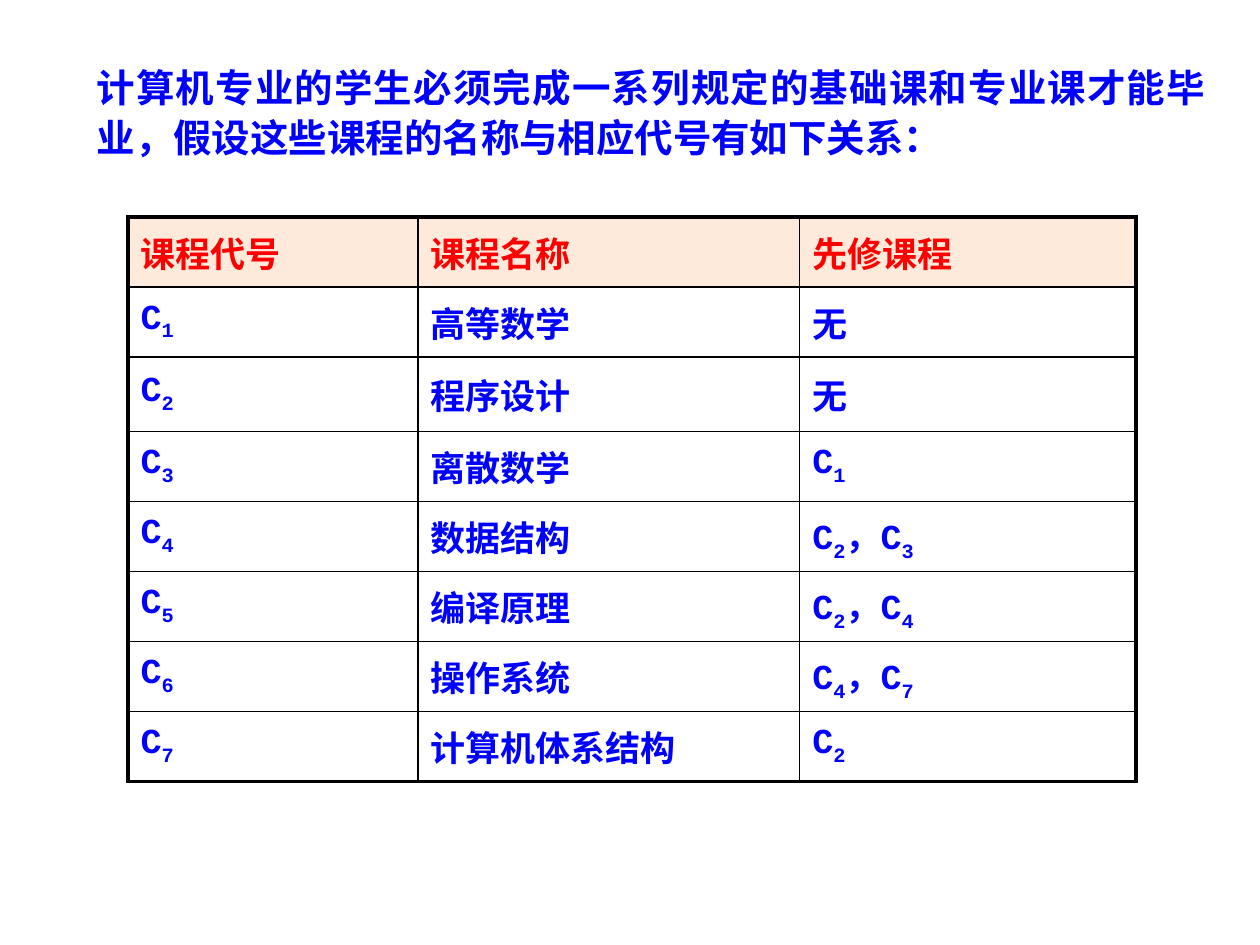
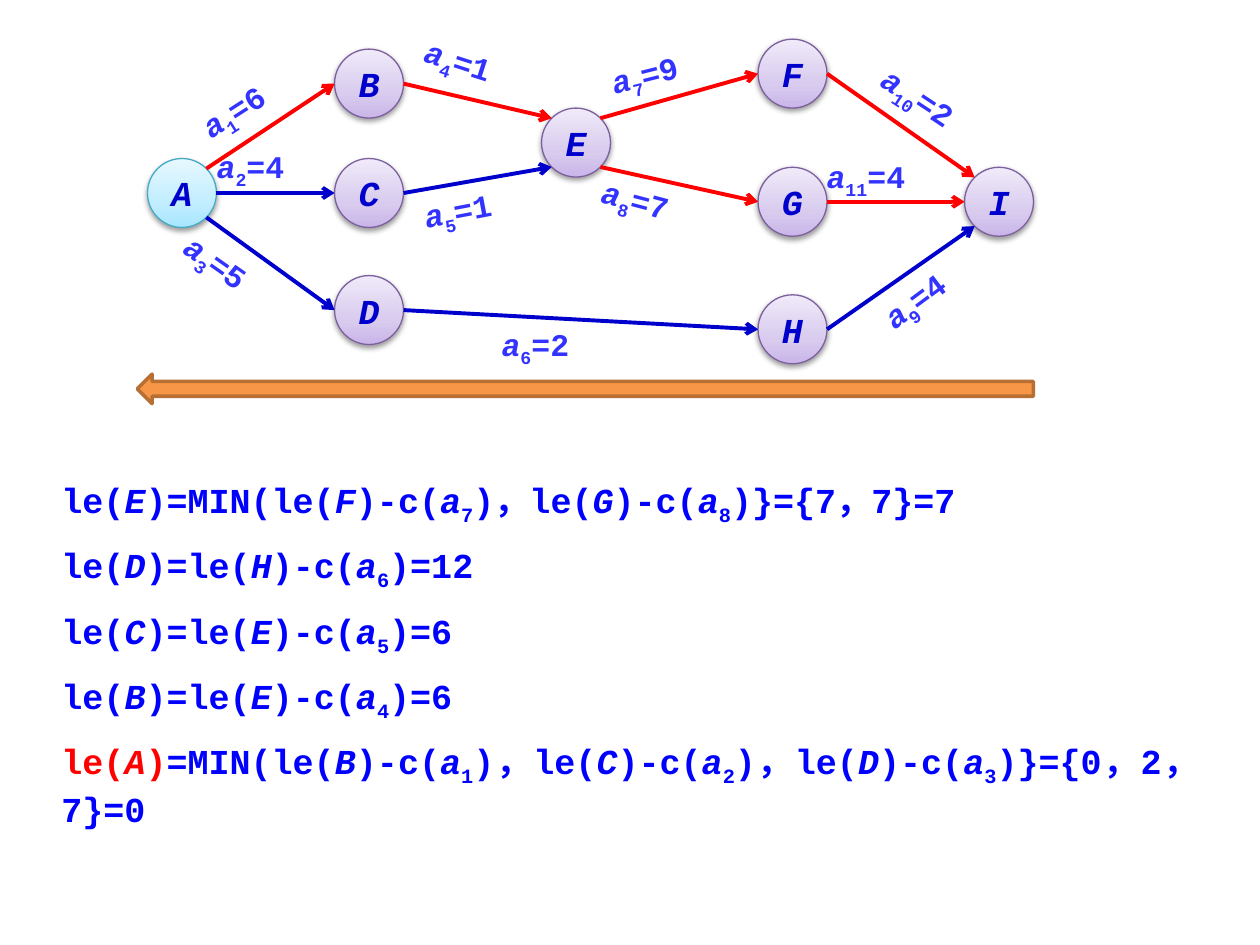
import pptx
import pptx.util
import pptx.dml.color
import pptx.enum.lang
import pptx.enum.shapes
import pptx.enum.text
import pptx.oxml
import pptx.oxml.ns
import copy
import math

Pt = pptx.util.Pt
RGB = pptx.dml.color.RGBColor
SHAPES = pptx.enum.shapes.MSO_SHAPE
ALIGN = pptx.enum.text.PP_ALIGN
MIDDLE = pptx.enum.text.MSO_ANCHOR.MIDDLE
CHINESE = pptx.enum.lang.MSO_LANGUAGE_ID.SIMPLIFIED_CHINESE
qn = pptx.oxml.ns.qn

BLUE = RGB(0x00, 0x00, 0xFF)
DARK_BLUE = RGB(0x00, 0x00, 0xCC)
LABEL_BLUE = RGB(0x33, 0x33, 0xFF)
RED = RGB(0xFF, 0x00, 0x00)
HEADER_FILL = RGB(0xFD, 0xEA, 0xDA)
ORANGE = RGB(0xF7, 0x96, 0x46)
BROWN = RGB(0xB7, 0x6F, 0x34)
CYAN_EDGE = RGB(0x46, 0xAA, 0xC5)
PURPLE_EDGE = RGB(0x7D, 0x60, 0xA0)
CYAN_STOPS = [(0, RGB(0xA7, 0xE6, 0xFF)), (0.35, RGB(0xC1, 0xED, 0xFF)), (1, RGB(0xE7, 0xF8, 0xFF))]
PURPLE_STOPS = [(0, RGB(0xC9, 0xB5, 0xE8)), (0.35, RGB(0xD8, 0xCB, 0xEE)), (1, RGB(0xF0, 0xEA, 0xF9))]
MONO, SERIF = "Courier New", "Times New Roman"

# "|" separates runs, "~" starts an italic run, "_" starts a subscript run.
INTRO = "计算机专业的学生必须完成一系列规定的基础课和专业课才能毕业，假设这些课程的名称与相应代号有如下关系："
COURSES = [
    ("课程代号", "课程名称", "先修课程"),
    ("C|_1", "高等数学", "无"),
    ("C|_2", "程序设计", "无"),
    ("C|_3", "离散数学", "C|_1"),
    ("C|_4", "数据结构", "C|_2|，C|_3"),
    ("C|_5", "编译原理", "C|_2|，C|_4"),
    ("C|_6", "操作系统", "C|_4|，C|_7"),
    ("C|_7", "计算机体系结构", "C|_2"),
]
COLUMN_WIDTHS = [165.6, 218.2, 192.2]
ROW_HEIGHTS = [40, 40, 42.5, 40, 40, 40, 40, 40]

NODE_SIZE = 39.4
NODES = {
    "A": (84.3, 90.6), "B": (191.2, 28.1), "C": (191.2, 90.6),
    "D": (191.2, 157.5), "E": (309.5, 61.8), "F": (433.2, 22.4),
    "G": (433.2, 95.6), "H": (433.2, 168.5), "I": (551.2, 95.6),
}
HUBS = "AEI"
EDGES = [
    ("A", "B", RED, 1, 6, (111.6, 44.6), 327.3),
    ("A", "C", DARK_BLUE, 2, 4, (123.8, 84.2), 0),
    ("A", "D", DARK_BLUE, 3, 5, (101.5, 146.9), 35.2),
    ("B", "E", RED, 4, 1, (241.9, 28.1), 17.8),
    ("C", "E", DARK_BLUE, 5, 1, (241.9, 106.6), 349.2),
    ("D", "H", DARK_BLUE, 6, 2, (286.6, 185.8), 0),
    ("E", "F", RED, 7, 9, (348.5, 28.1), 346),
    ("E", "G", RED, 8, 7, (343.4, 106.6), 14.7),
    ("H", "I", DARK_BLUE, 9, 4, (500.4, 151.9), 323.4),
    ("F", "I", RED, 10, 2, (500.4, 50.4), 33.4),
    ("G", "I", RED, 11, 4, (472.3, 90), 0),
]
LATEST_TIMES = [
    [("le(|~E|)=MIN(le(|~F|)-c(|~a|_7|)，le(|~G|)-c(|~a|_8|)}={7，7}=7", BLUE)],
    [("le(|~D|)=le(|~H|)-c(|~a|_6|)=12", BLUE)],
    [("le(|~C|)=le(|~E|)-c(|~a|_5|)=6", BLUE)],
    [("le(|~B|)=le(|~E|)-c(|~a|_4|)=6", BLUE)],
    [("le(|~A|)", RED),
     ("=MIN(le(|~B|)-c(|~a|_1|)，le(|~C|)-c(|~a|_2|)，le(|~D|)-c(|~a|_3|)}={0，2，7}=0", BLUE)],
]


def write(paragraph, marked, size, color, face=MONO):
    for piece in marked.split("|"):
        run = paragraph.add_run()
        run.text = piece.lstrip("~_")
        font = run.font
        font.name, font.size, font.bold = face, Pt(size), True
        font.italic = piece.startswith("~")
        font.color.rgb = color
        font.language_id = CHINESE
        if piece.startswith("_"):
            font._element.set("baseline", "-25000")


def add_text_box(slide, left, top, width, height):
    box = slide.shapes.add_textbox(Pt(left), Pt(top), Pt(width), Pt(height))
    box.text_frame.word_wrap = True
    return box


def remove_margins(frame):
    frame.margin_left = frame.margin_right = frame.margin_top = frame.margin_bottom = 0


def add_border(cell, side, width):
    cell._tc.get_or_add_tcPr().append(pptx.oxml.parse_xml(
        f'<a:ln{side} {pptx.oxml.ns.nsdecls("a")} w="{Pt(width)}"><a:solidFill>'
        f'<a:srgbClr val="000000"/></a:solidFill></a:ln{side}>'))


def add_courses(slide):
    table = slide.shapes.add_table(
        len(COURSES), len(COLUMN_WIDTHS), Pt(73.2), Pt(124),
        Pt(sum(COLUMN_WIDTHS)), Pt(sum(ROW_HEIGHTS))).table
    table.first_row = table.horz_banding = False
    for column, width in zip(table.columns, COLUMN_WIDTHS):
        column.width = Pt(width)
    last_row, last_column = len(COURSES) - 1, len(COLUMN_WIDTHS) - 1
    for r, course in enumerate(COURSES):
        table.rows[r].height = Pt(ROW_HEIGHTS[r])
        for c, entry in enumerate(course):
            cell = table.cell(r, c)
            cell.vertical_anchor = MIDDLE
            outer = {"L": c == 0, "R": c == last_column, "T": r == 0, "B": r == last_row}
            for side, is_outer in outer.items():
                add_border(cell, side, 2.25 if is_outer else 1)
            if r == 0:
                cell.fill.solid()
                cell.fill.fore_color.rgb = HEADER_FILL
            else:
                cell.fill.background()
            paragraph = cell.text_frame.paragraphs[0]
            paragraph.alignment = ALIGN.JUSTIFY
            write(paragraph, entry, 20, BLUE if r else RED)


def add_node(slide, name):
    left, top = NODES[name]
    node = slide.shapes.add_shape(SHAPES.OVAL, Pt(left), Pt(top), Pt(NODE_SIZE), Pt(NODE_SIZE))
    stops, edge = (CYAN_STOPS, CYAN_EDGE) if name == "A" else (PURPLE_STOPS, PURPLE_EDGE)
    node.fill.gradient()
    node.fill.gradient_angle = 90
    stop_list = node._element.spPr.find(".//" + qn("a:gsLst"))
    stop_list.append(copy.deepcopy(stop_list[0]))
    for stop, (position, color) in zip(node.fill.gradient_stops, stops):
        stop.position, stop.color.rgb = position, color
    node.line.color.rgb, node.line.width = edge, Pt(0.75)
    node.shadow.inherit = False
    node._element.spPr.find(qn("a:effectLst")).append(pptx.oxml.parse_xml(
        f'<a:outerShdw {pptx.oxml.ns.nsdecls("a")} blurRad="{Pt(3.1)}" dist="{Pt(1.6)}" '
        'dir="5400000" rotWithShape="0"><a:srgbClr val="000000"><a:alpha val="38000"/>'
        '</a:srgbClr></a:outerShdw>'))
    node.text_frame.vertical_anchor = MIDDLE
    paragraph = node.text_frame.paragraphs[0]
    paragraph.alignment = ALIGN.CENTER
    write(paragraph, "~" + name, 20, DARK_BLUE)


def edge_end(name, other):
    left, top = NODES[name]
    radius = NODE_SIZE / 2
    rise = NODES[other][1] - top
    across = math.copysign(1, NODES[other][0] - left)
    down = 0
    if name in HUBS and rise:
        across *= math.sqrt(0.5)
        down = math.copysign(math.sqrt(0.5), rise)
    return Pt(left + radius * (1 + across)), Pt(top + radius * (1 + down))


def add_edge(slide, source, target, color, number, cost, label_at, angle):
    edge = slide.shapes.add_connector(
        pptx.enum.shapes.MSO_CONNECTOR.STRAIGHT,
        *edge_end(source, target), *edge_end(target, source))
    edge.line.color.rgb, edge.line.width = color, Pt(2.25)
    edge.line._get_or_add_ln().append(pptx.oxml.parse_xml(
        f'<a:tailEnd {pptx.oxml.ns.nsdecls("a")} type="arrow"/>'))
    edge._element.spPr.append(pptx.oxml.parse_xml(
        f'<a:effectLst {pptx.oxml.ns.nsdecls("a")}/>'))
    label = add_text_box(slide, *label_at, 67.5, 22)
    label.rotation = angle
    remove_margins(label.text_frame)
    write(label.text_frame.paragraphs[0], f"~a|_{number}|={cost}", 18, LABEL_BLUE)


def add_back_arrow(slide):
    arrow = slide.shapes.add_shape(SHAPES.LEFT_ARROW, Pt(78.5), Pt(213.8), Pt(512), Pt(16.9))
    arrow.shadow.inherit = False
    arrow.fill.solid()
    arrow.fill.fore_color.rgb = ORANGE
    arrow.line.color.rgb, arrow.line.width = BROWN, Pt(2)


def add_latest_times(slide):
    frame = add_text_box(slide, 28, 270, 664, 177).text_frame
    for i, formula in enumerate(LATEST_TIMES):
        paragraph = frame.add_paragraph() if i else frame.paragraphs[0]
        paragraph.alignment = ALIGN.JUSTIFY
        if i:
            paragraph.space_before = Pt(10)
        for marked, color in formula:
            write(paragraph, marked, 20, color)


def main():
    deck = pptx.Presentation()
    deck.slide_width, deck.slide_height = Pt(720), Pt(540)
    blank = deck.slide_layouts[6]

    courses = deck.slides.add_slide(blank)
    add_courses(courses)
    intro = add_text_box(courses, 48.2, 30.2, 648, 63.4).text_frame.paragraphs[0]
    intro.alignment, intro.line_spacing = ALIGN.JUSTIFY, 1.1
    write(intro, INTRO, 22, BLUE, SERIF)

    network = deck.slides.add_slide(blank)
    add_latest_times(network)
    for name in NODES:
        add_node(network, name)
    for edge in EDGES:
        add_edge(network, *edge)
    add_back_arrow(network)

    deck.save("out.pptx")


if __name__ == "__main__":
    main()
